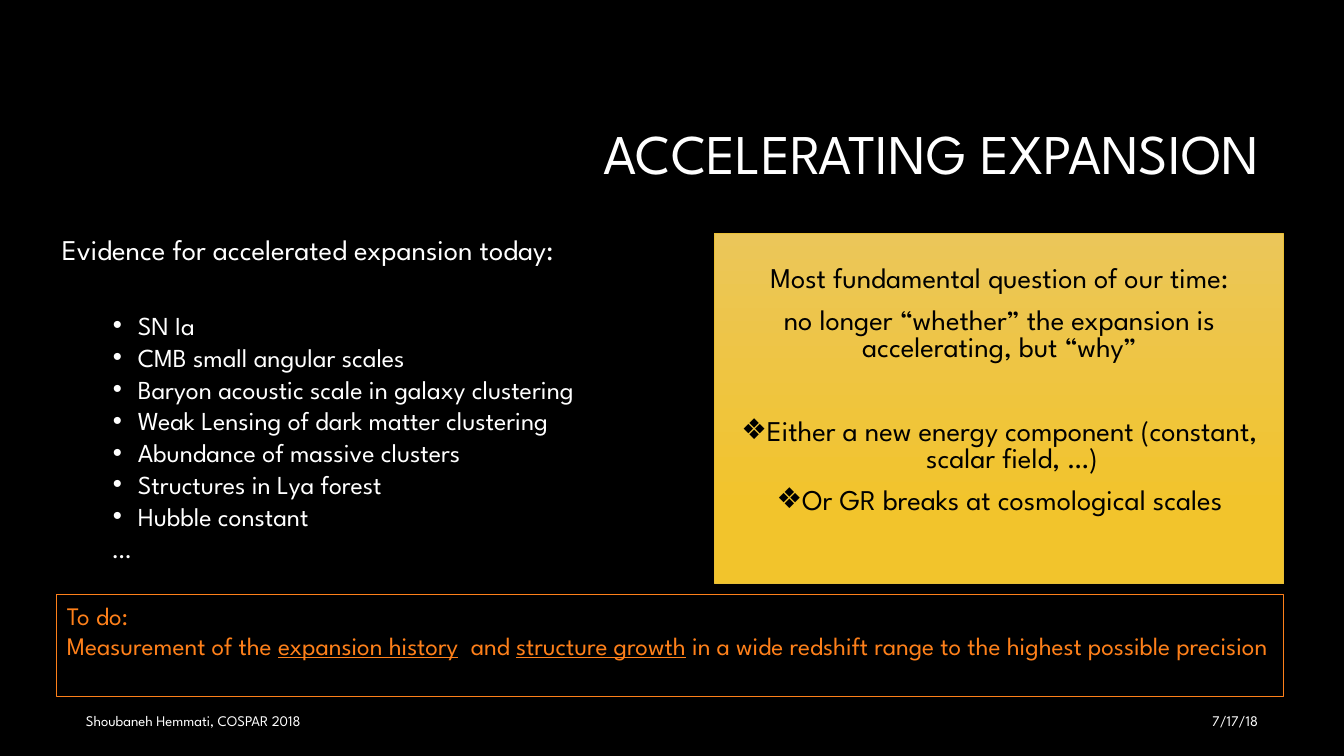
from lxml.etree import SubElement
from pptx import Presentation
from pptx.dml.color import RGBColor
from pptx.enum.shapes import MSO_SHAPE
from pptx.enum.text import MSO_ANCHOR, PP_ALIGN
from pptx.oxml.ns import qn
from pptx.util import Pt

# Content
FONT = "League Spartan"
WHITE, BLACK, ORANGE = "FFFFFF", "000000", "FE801A"
GOLD_STOPS = [("EBC659", 0), ("F2C42C", 0.78)]
GOLD_EDGE = "E9BF35"

TITLE = "ACCELERATING EXPANSION"
EVIDENCE_HEADING = "Evidence for accelerated expansion today:"
EVIDENCE = [
    "SN Ia",
    "CMB small angular scales",
    "Baryon acoustic scale in galaxy clustering",
    "Weak Lensing of dark matter clustering",
    "Abundance of massive clusters",
    "Structures in Lya forest",
    "Hubble constant",
]
QUESTION = [
    "Most fundamental question of our time:",
    "no longer “whether” the expansion is accelerating, but “why”",
]
ANSWERS = [
    "Either a new energy component (constant, scalar field, …)",
    "Or GR breaks at cosmological scales",
]
TODO_HEADING = "To do:"
TODO = [  # (text, underlined)
    ("Measurement of the ", False),
    ("expansion history", True),
    ("  and ", False),
    ("structure growth", True),
    (" in a wide redshift range to the highest possible precision", False),
]
AUTHOR, DATE = "Shoubaneh Hemmati, COSPAR 2018", "7/17/18"

# Places in px: left, top, width, height
SLIDE = (1344, 756)
TITLE_AT = (320, 85, 949, 142)
EVIDENCE_AT = (52, 234, 651, 365)
QUESTION_AT = (715, 234, 569, 350)
TODO_AT = (57, 595, 1227, 102)
AUTHOR_AT = (76, 701, 857, 40)
DATE_AT = (948, 701, 320, 40)


def px(length):
    return round(length * 914400 / 100.8)


def rgb(color):
    return RGBColor.from_string(color)


def setup_frame(shape, anchor):
    frame = shape.text_frame
    frame.word_wrap = True
    frame.vertical_anchor = anchor
    return frame


def add_text(place, anchor=MSO_ANCHOR.TOP):
    return setup_frame(slide.shapes.add_textbox(*map(px, place)), anchor)


def add_panel(place, edge):
    panel = slide.shapes.add_shape(MSO_SHAPE.RECTANGLE, *map(px, place))
    panel.shadow.inherit = False
    panel.line.color.rgb = rgb(edge)
    panel.line.width = Pt(0.75)
    return panel


def write(frame, runs, size, color=WHITE, align=PP_ALIGN.LEFT, spacing=1.0,
          before=0, bullet=None, margin=0, hanging=0):
    first = frame.paragraphs[0]
    paragraph = frame.add_paragraph() if first.runs else first
    paragraph.alignment = align
    paragraph.line_spacing = spacing
    paragraph.space_before = Pt(before)
    properties = paragraph._p.get_or_add_pPr()
    properties.set("marL", str(px(margin)))
    properties.set("indent", str(px(-hanging)))
    if bullet:
        SubElement(properties, qn("a:buFont")).set("typeface", "Arial")
        SubElement(properties, qn("a:buChar")).set("char", bullet)
    else:
        SubElement(properties, qn("a:buNone"))
    for text, underlined in runs:
        run = paragraph.add_run()
        run.text = text
        run.font.name = FONT
        run.font.size = Pt(size)
        run.font.color.rgb = rgb(color)
        if underlined:
            run.font.underline = True


def plain(text):
    return [(text, False)]


presentation = Presentation()
presentation.slide_width, presentation.slide_height = map(px, SLIDE)
slide = presentation.slides.add_slide(presentation.slide_layouts[6])
slide.background.fill.solid()
slide.background.fill.fore_color.rgb = rgb(BLACK)

# Title
write(add_text(TITLE_AT, MSO_ANCHOR.MIDDLE), plain(TITLE), 40,
      align=PP_ALIGN.RIGHT, spacing=0.9)

# Evidence list, set apart from its heading
evidence = add_text(EVIDENCE_AT)
write(evidence, plain(EVIDENCE_HEADING), 20.4, spacing=0.8)
for index, item in enumerate(EVIDENCE):
    write(evidence, plain(item), 18.5, spacing=0.8, before=5 if index else 35,
          bullet="•", margin=76, hanging=25)
write(evidence, plain("…"), 18.5, spacing=0.8, before=5, margin=50)

# Gold question panel
question_panel = add_panel(QUESTION_AT, GOLD_EDGE)
question_panel.fill.gradient()
question_panel.fill.gradient_angle = 270
for stop, (color, position) in zip(question_panel.fill.gradient_stops, GOLD_STOPS):
    stop.color.rgb = rgb(color)
    stop.position = position
question = setup_frame(question_panel, MSO_ANCHOR.TOP)
question.margin_top = px(33)
for index, line in enumerate(QUESTION):
    write(question, plain(line), 20.4, BLACK, PP_ALIGN.CENTER, 0.8,
          before=10 if index else 0)
for index, answer in enumerate(ANSWERS):
    write(question, plain(answer), 20.4, BLACK, PP_ALIGN.CENTER, 0.8,
          before=10 if index else 40, bullet="❖", margin=25, hanging=25)

# To-do frame
todo_panel = add_panel(TODO_AT, ORANGE)
todo_panel.fill.background()
todo = setup_frame(todo_panel, MSO_ANCHOR.TOP)
for runs in (plain(TODO_HEADING), TODO):
    write(todo, runs, 18, ORANGE)

# Footer
for place, text, align in ((AUTHOR_AT, AUTHOR, PP_ALIGN.LEFT),
                           (DATE_AT, DATE, PP_ALIGN.RIGHT)):
    write(add_text(place, MSO_ANCHOR.MIDDLE), plain(text), 10.5, align=align)

presentation.save("out.pptx")
